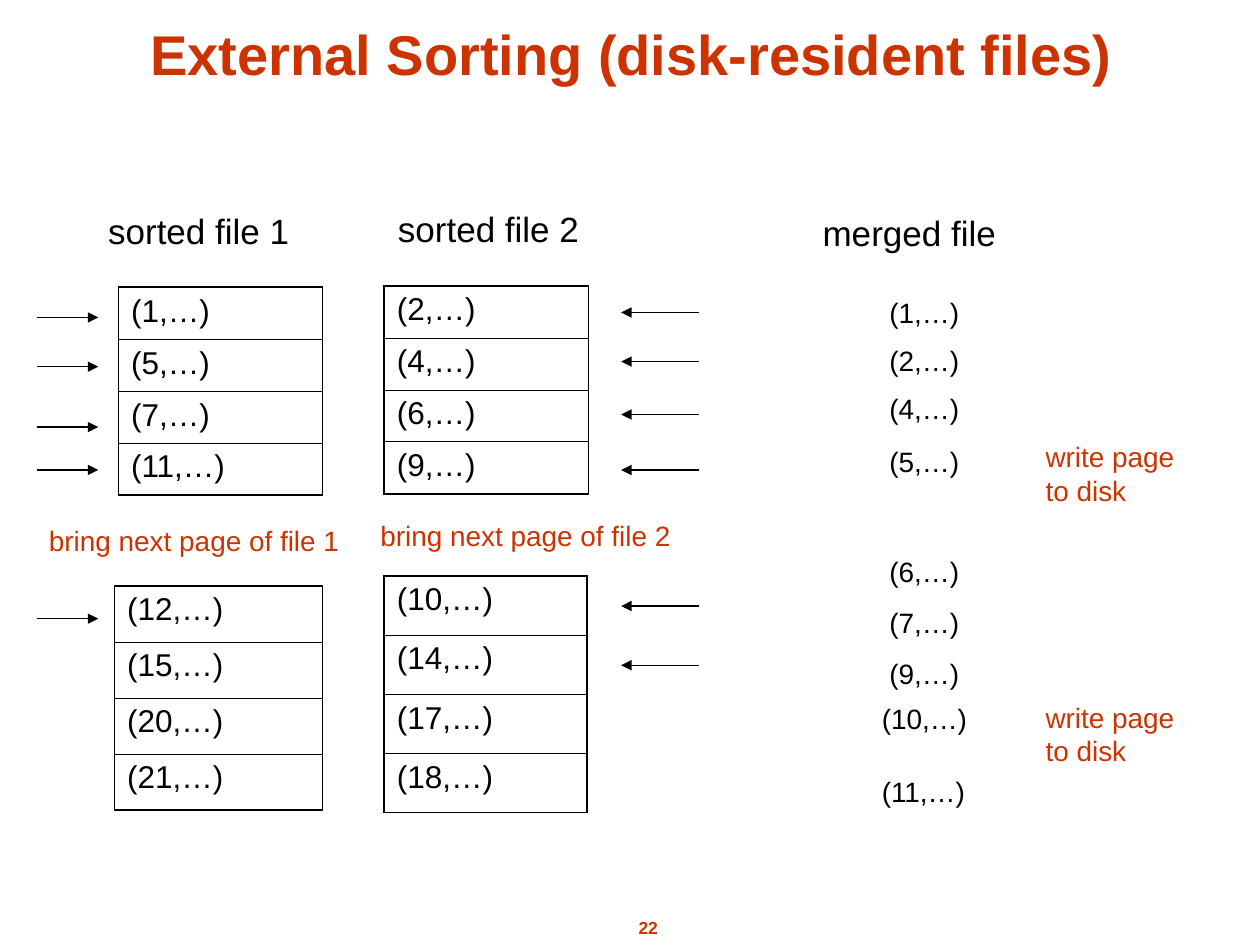
from lxml.etree import SubElement
from pptx import Presentation
from pptx.dml.color import RGBColor
from pptx.enum.shapes import MSO_CONNECTOR
from pptx.enum.text import MSO_ANCHOR as Anchor, MSO_AUTO_SIZE as AutoSize, PP_ALIGN as Align
from pptx.oxml.ns import qn
from pptx.util import Inches, Pt

BLACK = RGBColor(0x00, 0x00, 0x00)
RUST = RGBColor(0xCC, 0x33, 0x00)
FONT = "Arial"
GRID_COLUMNS, GRID_ROWS = 10, 7.5
OUTER_BORDER, INNER_BORDER = Pt(1.08), Pt(0.45)


class SlideBuilder:
    def __init__(self, presentation):
        self.column = presentation.slide_width / GRID_COLUMNS
        self.row = presentation.slide_height / GRID_ROWS
        self.slide = presentation.slides.add_slide(presentation.slide_layouts[6])

    def place(self, left, top, width, height):
        return (round(left * self.column), round(top * self.row),
                round(width * self.column), round(height * self.row))

    def format_text(self, text_frame, size, color, bold=False, align=Align.LEFT):
        for paragraph in text_frame.paragraphs:
            paragraph.alignment = align
            for run in paragraph.runs:
                run.font.name = FONT
                run.font.size = Pt(size)
                run.font.bold = bold
                run.font.color.rgb = color

    def text(self, content, place, size=16, color=BLACK, wrap=False, anchor=Anchor.TOP,
             bold=False, align=Align.LEFT):
        text_frame = self.slide.shapes.add_textbox(*self.place(*place)).text_frame
        text_frame.text = content
        text_frame.word_wrap = wrap
        text_frame.auto_size = AutoSize.NONE if wrap else AutoSize.SHAPE_TO_FIT_TEXT
        text_frame.vertical_anchor = anchor
        self.format_text(text_frame, size, color, bold, align)

    def arrow(self, start, end, height):
        begin_x, y, end_x, _ = self.place(start, height, end, 0)
        connector = self.slide.shapes.add_connector(MSO_CONNECTOR.STRAIGHT, begin_x, y, end_x, y)
        connector.line.color.rgb = BLACK
        connector.line.width = Pt(0.75)
        SubElement(connector.line._get_or_add_ln(), qn("a:tailEnd"), type="triangle")
        SubElement(connector._element.spPr, qn("a:effectLst"))

    def border(self, cell, side, width):
        line = SubElement(cell._tc.get_or_add_tcPr(), qn(f"a:ln{side}"), w=str(width))
        fill = SubElement(line, qn("a:solidFill"))
        SubElement(fill, qn("a:srgbClr"), val=str(BLACK))

    def page(self, records, place):
        left, top, width, height = self.place(*place)
        table = self.slide.shapes.add_table(len(records), 1, left, top, width, height).table
        table.first_row = table.horz_banding = False
        last = len(records) - 1
        for index, record in enumerate(records):
            cell = table.cell(index, 0)
            cell.text_frame.text = record
            self.format_text(cell.text_frame, 18, BLACK)
            self.border(cell, "L", OUTER_BORDER)
            self.border(cell, "R", OUTER_BORDER)
            self.border(cell, "T", INNER_BORDER if index else OUTER_BORDER)
            self.border(cell, "B", INNER_BORDER if index < last else OUTER_BORDER)
            cell.fill.background()


def records(*keys):
    return [f"({key},…)" for key in keys]


def main():
    presentation = Presentation()
    presentation.slide_width, presentation.slide_height = Inches(10), Inches(7.5)
    builder = SlideBuilder(presentation)

    builder.text("22", (4.71, 7.23, 0.87, 0.27), 10, RUST, bold=True, align=Align.CENTER)
    builder.text("External Sorting (disk-resident files)", (0.6, 0.07, 8.83, 0.67), 32, RUST,
                 wrap=True, anchor=Anchor.BOTTOM, bold=True, align=Align.CENTER)

    for heading, left, top in (("sorted file 1", 0.76, 1.61), ("sorted file 2", 3.06, 1.6),
                               ("merged file", 6.43, 1.63)):
        builder.text(heading, (left, top, 1.81, 0.56), 20, wrap=True)

    for keys, place in (((1, 5, 7, 11), (0.94, 2.28, 1.62, 1.65)),
                        ((2, 4, 6, 9), (3.05, 2.27, 1.62, 1.65)),
                        ((12, 15, 20, 21), (0.91, 4.65, 1.65, 1.78)),
                        ((10, 14, 17, 18), (3.05, 4.57, 1.61, 1.88))):
        builder.page(records(*keys), place)

    for number, left, top in ((1, 0.29, 4.11), (2, 2.92, 4.07)):
        builder.text(f"bring next page of file {number}", (left, top, 2.54, 0.37), color=RUST)

    for start, end, heights in ((0.29, 0.78, (2.52, 2.91, 3.39, 3.73, 4.91)),
                                (5.55, 4.93, (2.48, 2.87, 3.29, 3.73, 4.81, 5.28))):
        for height in heights:
            builder.arrow(start, end, height)

    merged_tops = (2.3, 2.68, 3.06, 3.48, 4.35, 4.76, 5.16, 5.52, 6.1)
    merged_records = records(1, 2, 4, 5, 6, 7, 9, 10, 11)
    for record, top in zip(merged_records, merged_tops):
        left, width = (6.96, 0.78) if len(record) == 5 else (6.9, 0.9)
        builder.text(record, (left, top, width, 0.37))

    for top in (3.44, 5.51):
        builder.text("write page\nto disk", (8.2, top, 1.24, 0.64), color=RUST)

    presentation.save("out.pptx")


if __name__ == "__main__":
    main()
